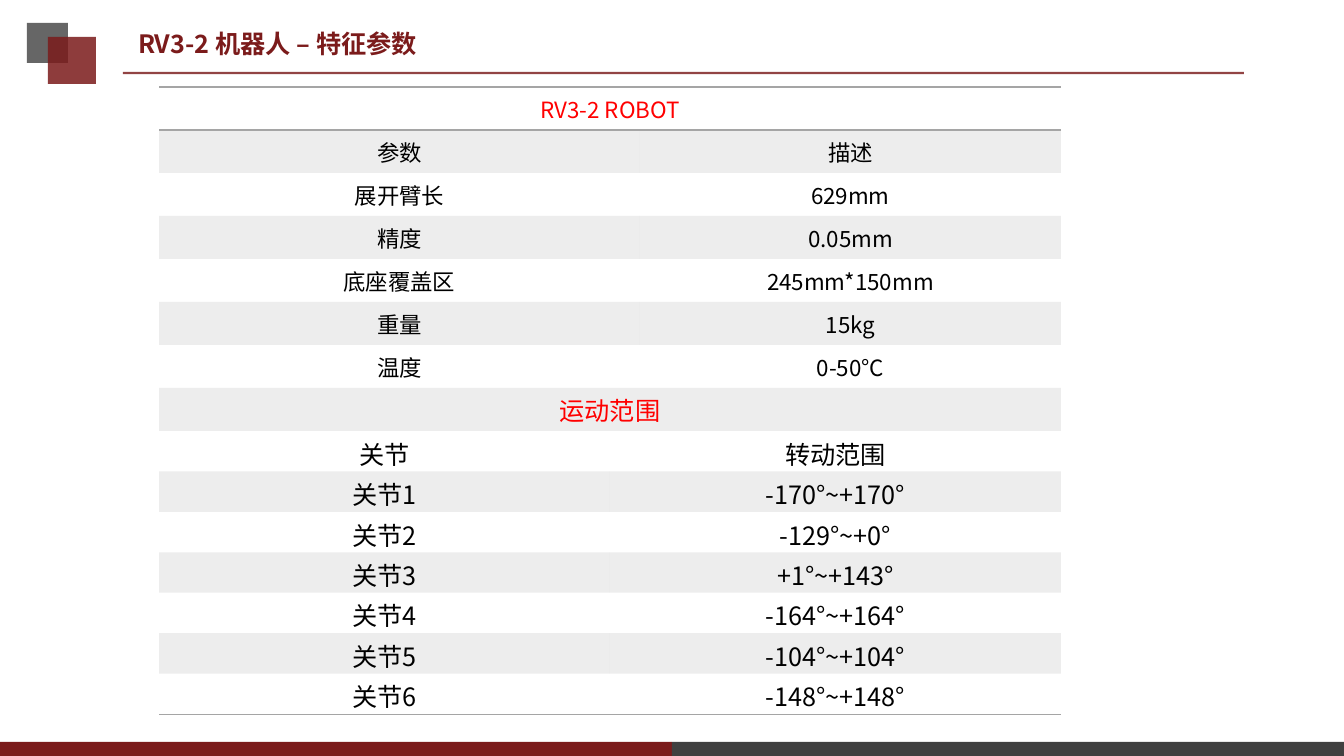
from dataclasses import dataclass

from lxml.etree import SubElement
from pptx import Presentation
from pptx.dml.color import RGBColor
from pptx.enum.shapes import MSO_CONNECTOR, MSO_SHAPE
from pptx.enum.text import MSO_ANCHOR, MSO_AUTO_SIZE, PP_ALIGN
from pptx.oxml.ns import qn
from pptx.util import Pt

EMU_PER_PX = 12192000 / 1344
TITLE_ONLY = 5
NO_STYLE = "{2D5ABB26-0587-4C30-8999-92F81FD0307C}"


def px(length):
    return round(length * EMU_PER_PX)


@dataclass(frozen=True)
class Theme:
    font: str = "Noto Sans CJK SC"
    accent: str = "7B1B1B"
    dark: str = "404040"
    grey: str = "A5A5A5"
    heading: str = "FF0000"
    text: str = "000000"
    large: int = 18
    normal: int = 16


class SlideBuilder:
    def __init__(self, presentation, theme):
        self.theme = theme
        self.slide = presentation.slides.add_slide(presentation.slide_layouts[TITLE_ONLY])

    def set_font(self, paragraph, size, color, bold=False):
        font = paragraph.font
        font.name, font.size, font.bold = self.theme.font, Pt(size), bold
        font.color.rgb = RGBColor.from_string(color)
        properties = paragraph._p.pPr.find(qn("a:defRPr"))
        SubElement(properties, qn("a:ea"), typeface=self.theme.font)

    def set_opacity(self, owner, percent):
        for color in owner.iter(qn("a:srgbClr")):
            SubElement(color, qn("a:alpha"), val=str(percent * 1000))

    def title(self, text, left, top, width, height):
        title = self.slide.shapes.title
        title.left, title.top, title.width, title.height = map(px, (left, top, width, height))
        frame = title.text_frame
        frame.text = text
        frame.auto_size = MSO_AUTO_SIZE.NONE
        frame.vertical_anchor = MSO_ANCHOR.MIDDLE
        frame.paragraphs[0].alignment = PP_ALIGN.LEFT
        self.set_font(frame.paragraphs[0], self.theme.large, self.theme.accent, bold=True)

    def block(self, left, top, width, height, color, opacity=100):
        block = self.slide.shapes.add_shape(
            MSO_SHAPE.RECTANGLE, *map(px, (left, top, width, height)))
        block.shadow.inherit = False
        block.fill.solid()
        block.fill.fore_color.rgb = RGBColor.from_string(color)
        block.line.fill.background()
        if opacity < 100:
            self.set_opacity(block._element.spPr, opacity)

    def rule(self, left, right, y, color, weight, opacity):
        rule = self.slide.shapes.add_connector(
            MSO_CONNECTOR.STRAIGHT, *map(px, (left, y, right, y)))
        rule.line.color.rgb = RGBColor.from_string(color)
        rule.line.width = Pt(weight)
        self.set_opacity(rule._element.spPr, opacity)
        SubElement(rule._element.spPr, qn("a:effectLst"))

    def table(self, left, top, columns, heights):
        table = self.slide.shapes.add_table(
            len(heights), len(columns), px(left), px(top),
            px(sum(columns)), px(sum(heights))).table
        table.first_row = table.horz_banding = False
        table._tbl.tblPr.find(qn("a:tableStyleId")).text = NO_STYLE
        for column, width in zip(table.columns, columns):
            column.width = px(width)
        for row, height in zip(table.rows, heights):
            row.height = px(height)
        return table

    def cell(self, cell, text, size, color, margins, shaded):
        cell.text = text
        cell.margin_top, cell.margin_bottom = map(px, margins)
        cell.vertical_anchor = MSO_ANCHOR.MIDDLE
        cell.text_frame.paragraphs[0].alignment = PP_ALIGN.CENTER
        self.set_font(cell.text_frame.paragraphs[0], size, color)
        if shaded:
            cell.fill.solid()
            cell.fill.fore_color.rgb = RGBColor.from_string(self.theme.grey)
            self.set_opacity(cell._tc.tcPr, 20)
        else:
            cell.fill.background()

    def row_borders(self, row, *sides):
        for cell in row.cells:
            properties = cell._tc.get_or_add_tcPr()
            for position, side in enumerate(sides):
                border = properties.makeelement(qn(f"a:{side}"), {"w": str(Pt(1))})
                fill = SubElement(border, qn("a:solidFill"))
                SubElement(fill, qn("a:srgbClr"), val=self.theme.grey)
                properties.insert(position, border)


PARAMETERS = [
    ("RV3-2 ROBOT",),
    ("参数", "描述"),
    ("展开臂长", "629mm"),
    ("精度", "0.05mm"),
    ("底座覆盖区", "245mm*150mm"),
    ("重量", "15kg"),
    ("温度", "0-50°C"),
]
MOTION_HEADING = ("运动范围",)
JOINT_RANGES = ["-170°~+170°", "-129°~+0°", "+1°~+143°",
                "-164°~+164°", "-104°~+104°", "-148°~+148°"]
JOINTS = [("关节", "转动范围")] + [
    (f"关节{number}", span) for number, span in enumerate(JOINT_RANGES, 1)]


def add_specifications(builder):
    theme = builder.theme
    rows = PARAMETERS + [MOTION_HEADING] + JOINTS
    motion_row = len(PARAMETERS)
    heights = [43] * (motion_row + 1) + [40] * len(JOINTS)
    table = builder.table(159, 87, (451, 30, 421), heights)
    for index, texts in enumerate(rows):
        is_joint = index > motion_row
        size = theme.large if index >= motion_row else theme.normal
        color = theme.heading if len(texts) == 1 else theme.text
        margins = (4, 0) if is_joint else (3, 3)
        # Column where each text starts, and the columns merged in this row
        if len(texts) == 1:
            starts, merged = (0,), (0, 2)
        elif is_joint:
            starts, merged = (0, 1), (1, 2)
        else:
            starts, merged = (0, 2), (0, 1)
        table.cell(index, merged[0]).merge(table.cell(index, merged[1]))
        for column, text in zip(starts, texts):
            builder.cell(table.cell(index, column), text, size, color,
                         margins, shaded=index % 2 == 1)
    builder.row_borders(table.rows[0], "lnT", "lnB")
    builder.row_borders(table.rows[len(rows) - 1], "lnB")


def main():
    presentation = Presentation()
    presentation.slide_width, presentation.slide_height = px(1344), px(756)
    theme = Theme()
    builder = SlideBuilder(presentation, theme)

    # Footer band
    builder.block(0, 742, 672, 14, theme.accent)
    builder.block(672, 742, 672, 14, theme.dark)

    # Header with overlapping squares
    builder.rule(123, 1244, 73, theme.accent, 1.75, opacity=81)
    builder.block(27, 23, 41, 40, theme.dark, opacity=80)
    builder.block(48, 37, 48, 47, theme.accent, opacity=85)
    builder.title("RV3-2 机器人 – 特征参数", 128, 23, 458, 40)

    # Specification table
    add_specifications(builder)

    presentation.save("out.pptx")


if __name__ == "__main__":
    main()
